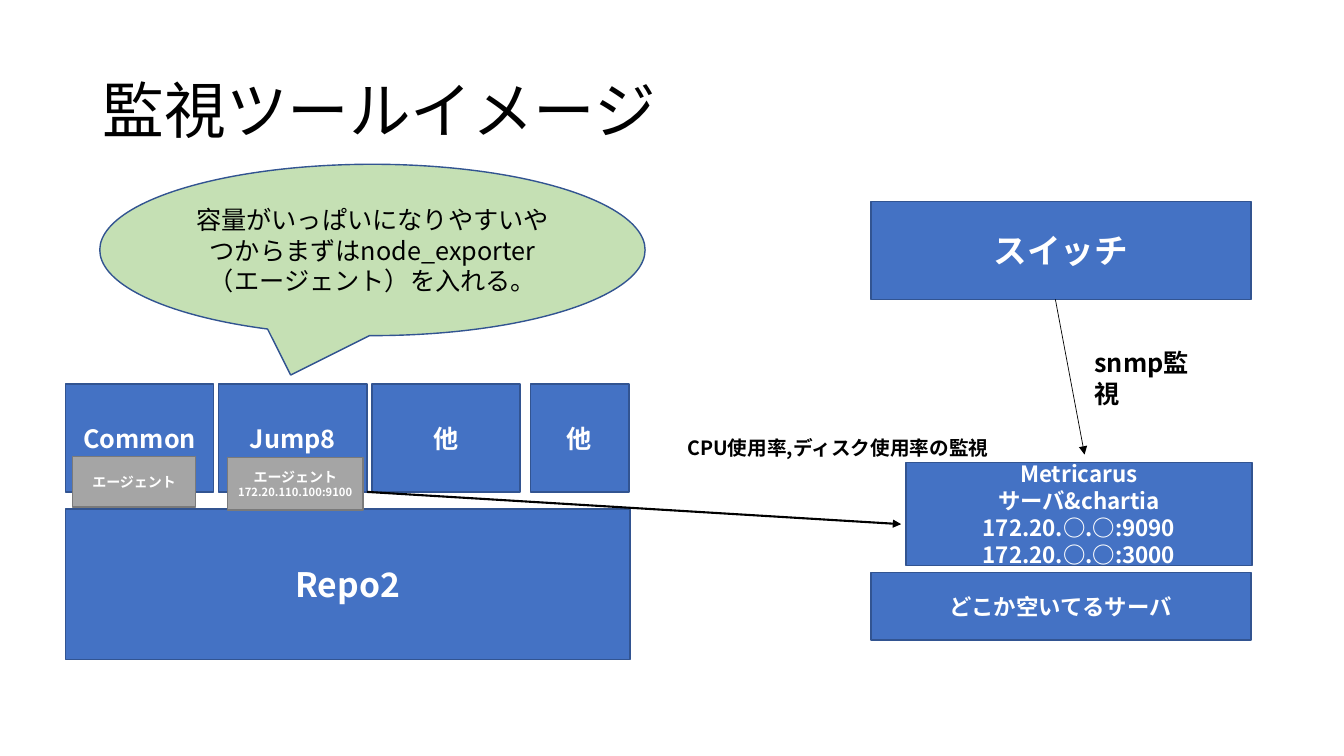
from lxml import etree
from pptx import Presentation
from pptx.dml.color import RGBColor
from pptx.enum.shapes import MSO_CONNECTOR, MSO_SHAPE
from pptx.enum.text import MSO_ANCHOR, PP_ALIGN
from pptx.oxml.ns import qn
from pptx.util import Emu, Inches, Pt

RECT, BUBBLE = MSO_SHAPE.RECTANGLE, MSO_SHAPE.OVAL_CALLOUT
STRAIGHT = MSO_CONNECTOR.STRAIGHT
LEFT, CENTER = PP_ALIGN.LEFT, PP_ALIGN.CENTER
TOP, MIDDLE = MSO_ANCHOR.TOP, MSO_ANCHOR.MIDDLE
FONT = "Noto Sans CJK JP"
WIDTH, HEIGHT = Inches(13.333), Inches(7.5)
COLS, ROWS = 40, 30
BLUE, NAVY, GRAY, DARK = "4472C4", "325491", "A5A5A5", "7A7A7A"
GREEN, BLACK, WHITE = "C5E0B4", "000000", "FFFFFF"


def color(code):
    """Turn a hex string into a colour."""
    return RGBColor.from_string(code)


def grid(*cells):
    """Turn alternating columns and rows into slide lengths."""
    units = WIDTH / COLS, HEIGHT / ROWS
    return [Emu(round(n * units[i % 2])) for i, n in enumerate(cells)]


def write(shape, *lines, size=18, bold=True, ink=WHITE, align=CENTER,
          anchor=MIDDLE, space=None, sizes=()):
    """Fill a shape with formatted paragraphs."""
    frame = shape.text_frame
    frame.word_wrap = True
    frame.vertical_anchor = anchor
    frame.text = "\n".join(lines)
    for i, para in enumerate(frame.paragraphs):
        para.alignment = align
        para.line_spacing = space
        font = para.runs[0].font
        font.size = Pt(sizes[i] if sizes else size)
        font.bold = bold
        font.color.rgb = color(ink)
        font.name = FONT
        props = para.runs[0]._r.get_or_add_rPr()
        etree.SubElement(props, qn("a:ea"), typeface=FONT)


def box(slide, cells, *lines, kind=RECT, fill=BLUE, edge=NAVY, **style):
    """Add a filled, outlined shape with text."""
    shape = slide.shapes.add_shape(kind, *grid(*cells))
    shape.shadow.inherit = False
    shape.fill.solid()
    shape.fill.fore_color.rgb = color(fill)
    shape.line.color.rgb = color(edge)
    shape.line.width = Pt(1)
    write(shape, *lines, **style)
    return shape


def label(slide, cells, text, size):
    """Add a bold caption."""
    shape = slide.shapes.add_textbox(*grid(*cells))
    write(shape, text, size=size, ink=BLACK, align=LEFT, anchor=TOP)


def arrow(slide, ends, width):
    """Add a straight line with an arrowhead at its end."""
    line = slide.shapes.add_connector(STRAIGHT, *grid(*ends))
    line.line.color.rgb = color(BLACK)
    line.line.width = Pt(width)
    etree.SubElement(line.line._get_or_add_ln(), qn("a:tailEnd"),
                     type="triangle")
    etree.SubElement(line._element.spPr, qn("a:effectLst"))


def hosts(slide):
    """Draw the monitored machines and their agents."""
    box(slide, (1.95, 20.2, 16.8, 5.96), "Repo2", size=24)
    for i, name in enumerate(("Common", "Jump8", "他")):
        box(slide, (1.95 + i * 4.56, 15.24, 4.41, 4.28), name)
    box(slide, (15.78, 15.24, 2.94, 4.28), "他")
    gray = {"fill": GRAY, "edge": DARK}
    box(slide, (2.16, 18.12, 3.66, 2), "エージェント", size=10, **gray)
    box(slide, (6.78, 18.16, 4.02, 2.08), "エージェント",
        "172.20.110.100:9100", sizes=(10, 8), **gray)


def servers(slide):
    """Draw the switch and the monitoring server."""
    box(slide, (25.92, 8, 11.31, 3.88), "スイッチ", size=24)
    box(slide, (25.92, 22.72, 11.31, 2.68), "どこか空いてるサーバ", size=16)
    box(slide, (26.97, 18.36, 10.29, 4.08), "Metricarus", "サーバ&chartia",
        "172.20.○.○:9090", "172.20.○.○:3000", size=16)


def main():
    """Build and save the slide."""
    deck = Presentation()
    deck.slide_width, deck.slide_height = WIDTH, HEIGHT
    slide = deck.slides.add_slide(deck.slide_layouts[5])
    title = slide.shapes.title
    title.left, title.top, title.width, title.height = grid(
        2.76, 1.6, 34.5, 5.8)
    write(title, "監視ツールイメージ", size=44, bold=False, ink=BLACK,
          align=LEFT, space=0.9)
    hosts(slide)
    servers(slide)
    arrow(slide, (10.92, 19.52, 26.82, 20.8), 1.5)
    arrow(slide, (31.41, 11.88, 32.28, 18.04), 0.5)
    label(slide, (32.28, 13.6, 4.14, 1.6), "snmp監視", 18)
    label(slide, (20.16, 17.12, 9.72, 1.36),
          "CPU使用率,ディスク使用率の監視", 14)
    note = box(slide, (2.97, 6.52, 16.23, 6.8),
               "容量がいっぱいになりやすいやつからまずはnode_exporter",
               "（エージェント）を入れる。", kind=BUBBLE, fill=GREEN,
               ink=BLACK, bold=False)
    note.adjustments[0], note.adjustments[1] = -0.15, 0.73
    deck.save("out.pptx")


main()
